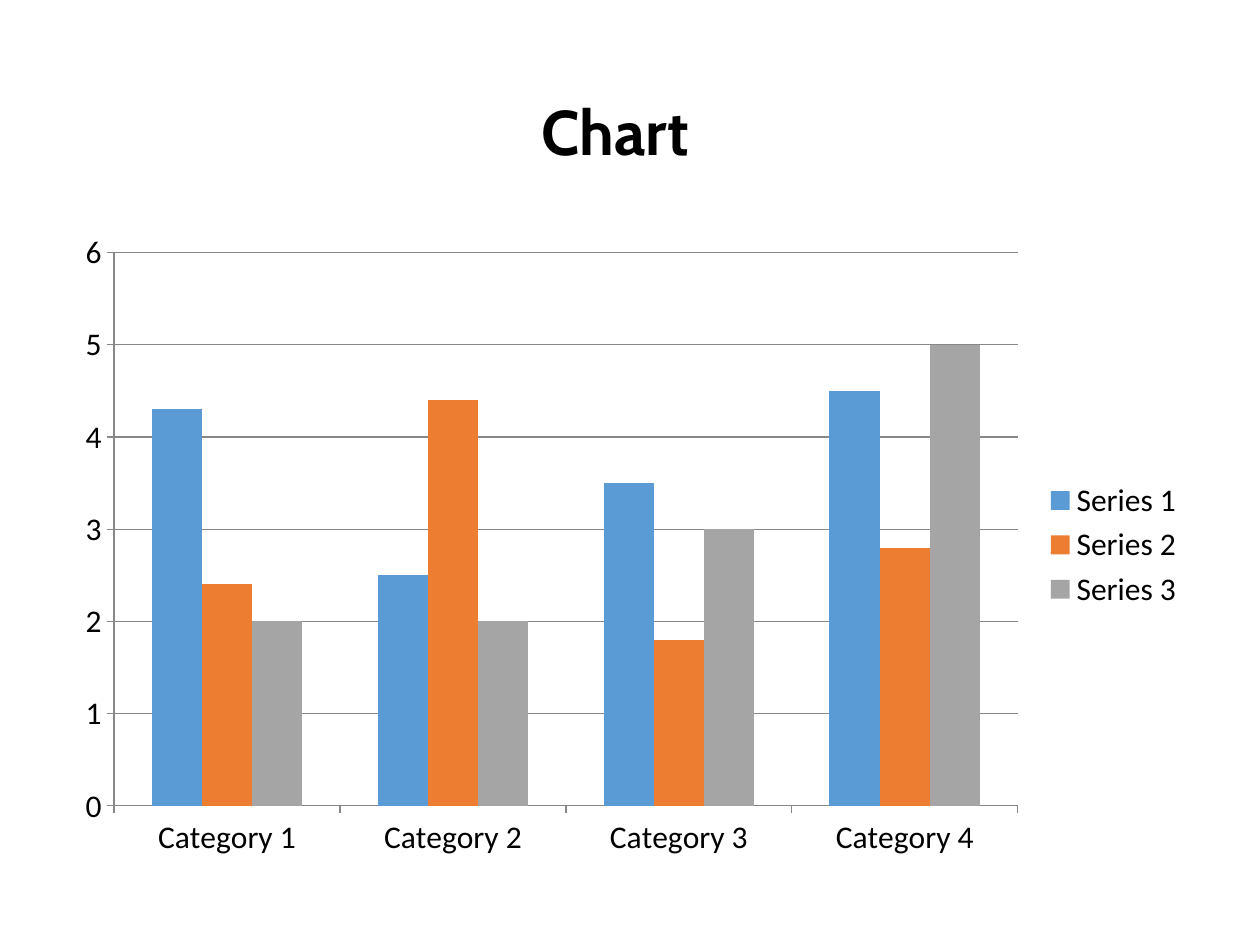
from pptx import Presentation
from pptx.chart.data import CategoryChartData
from pptx.dml.color import RGBColor
from pptx.enum.chart import XL_CHART_TYPE, XL_LEGEND_POSITION, XL_TICK_MARK
from pptx.enum.text import MSO_ANCHOR, PP_ALIGN
from pptx.util import Inches, Pt

WIDTH, HEIGHT = Inches(10), Inches(7.5)
COLORS = {
    "text": "000000",
    "line": "878787",
    "Series 1": "5B9BD5",
    "Series 2": "ED7D31",
    "Series 3": "A5A5A5",
}
CATEGORIES = [f"Category {number}" for number in range(1, 5)]
SERIES = {
    "Series 1": (4.3, 2.5, 3.5, 4.5),
    "Series 2": (2.4, 4.4, 1.8, 2.8),
    "Series 3": (2, 2, 3, 5),
}


def color(name):
    return RGBColor.from_string(COLORS[name])


def format_font(font, name, size, bold=False):
    font.name = name
    font.size = Pt(size)
    font.bold = bold
    font.color.rgb = color("text")


def write_text(box, text, font, size, bold=False, align=PP_ALIGN.CENTER):
    frame = box.text_frame
    frame.word_wrap = True
    frame.vertical_anchor = MSO_ANCHOR.MIDDLE
    para = frame.paragraphs[0]
    para.alignment = align
    span = para.add_run()
    span.text = text
    format_font(span.font, font, size, bold)


def add_title(page, text):
    box = page.shapes.title
    box.left, box.top = Inches(3.74), Inches(0.68)
    box.width, box.height = Inches(2.28), Inches(0.71)
    write_text(box, text, font="Cabin", size=36, bold=True)


def format_line(line):
    line.color.rgb = color("line")
    line.width = Pt(0.75)


def format_axis(axis):
    axis.major_tick_mark = XL_TICK_MARK.OUTSIDE
    axis.minor_tick_mark = XL_TICK_MARK.NONE
    format_line(axis.format.line)


def add_column_chart(page):
    data = CategoryChartData()
    data.categories = CATEGORIES
    for name, values in SERIES.items():
        data.add_series(name, values)
    chart = page.shapes.add_chart(
        XL_CHART_TYPE.COLUMN_CLUSTERED,
        Inches(0.5), Inches(1.75), Inches(9), Inches(5.15), data,
    ).chart
    format_font(chart.font, "Calibri", 18)
    chart.has_title = False
    chart.has_legend = True
    chart.legend.position = XL_LEGEND_POSITION.RIGHT
    chart.legend.include_in_layout = False

    format_axis(chart.category_axis)
    format_axis(chart.value_axis)
    chart.value_axis.minimum_scale = 0
    chart.value_axis.maximum_scale = 6
    chart.value_axis.major_unit = 1
    chart.value_axis.has_major_gridlines = True
    format_line(chart.value_axis.major_gridlines.format.line)

    plot = chart.plots[0]
    plot.gap_width = 150
    plot.overlap = 0
    plot.vary_by_categories = False
    for series in plot.series:
        series.format.fill.solid()
        series.format.fill.fore_color.rgb = color(series.name)


def main():
    deck = Presentation()
    deck.slide_width, deck.slide_height = WIDTH, HEIGHT
    page = deck.slides.add_slide(deck.slide_layouts[5])
    add_column_chart(page)
    add_title(page, "Chart")
    deck.save("out.pptx")


if __name__ == "__main__":
    main()
